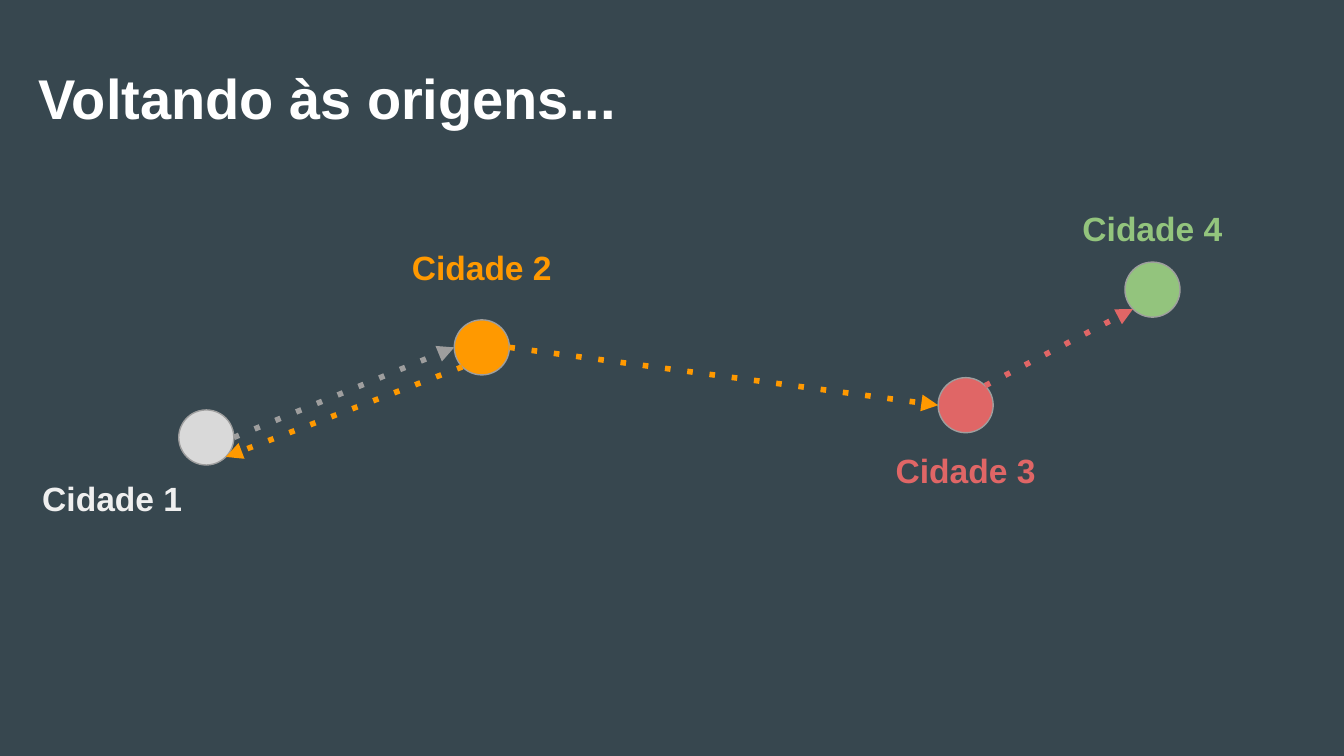
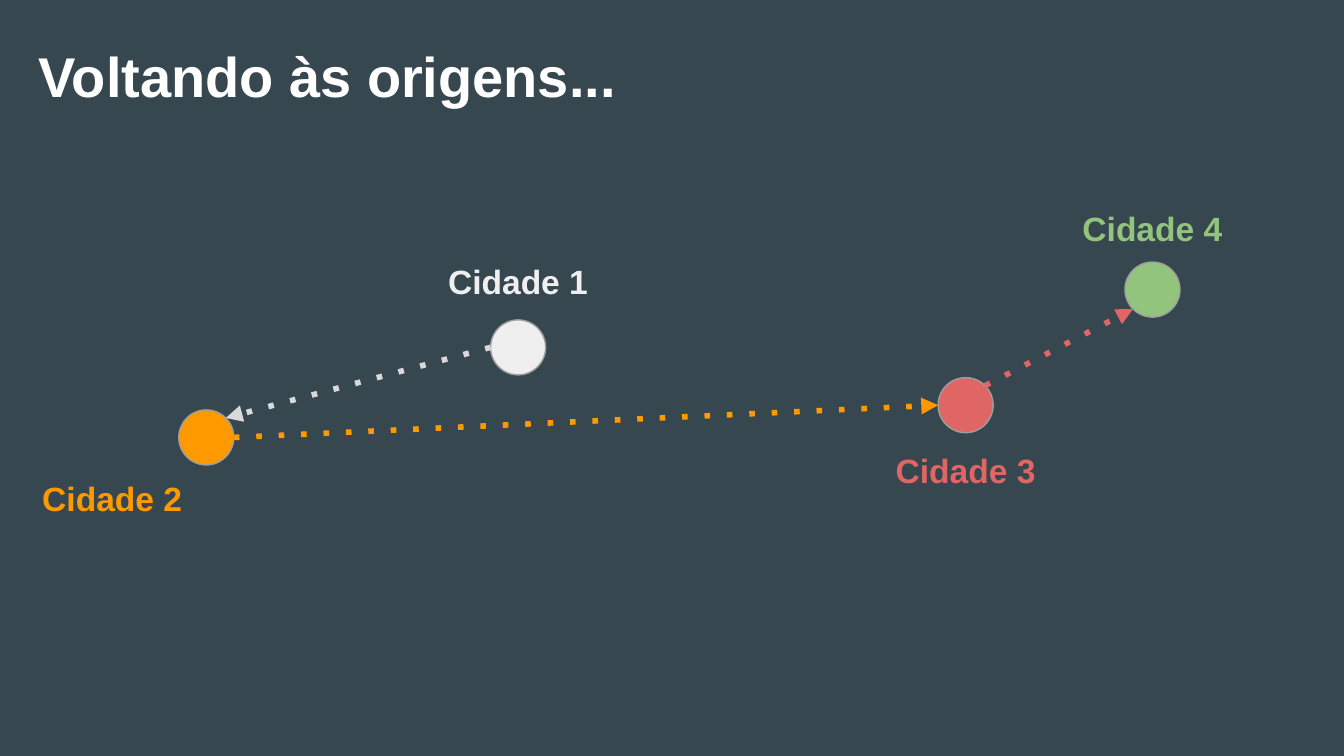
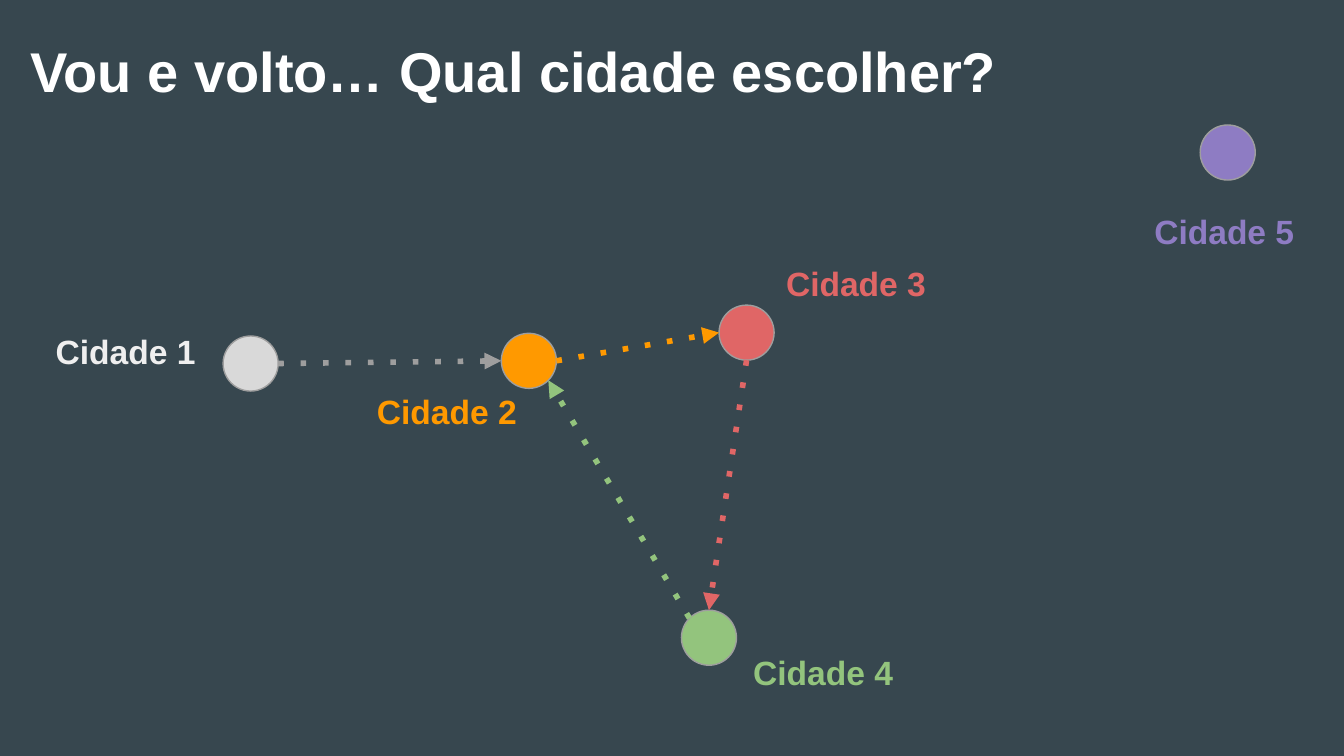
from math import cos, radians, sin

from lxml.etree import SubElement
from pptx import Presentation
from pptx.dml.color import RGBColor
from pptx.enum.dml import MSO_LINE
from pptx.enum.shapes import MSO_CONNECTOR as CXN, MSO_SHAPE as SHAPE
from pptx.enum.text import MSO_ANCHOR as ANCHOR, PP_ALIGN as ALIGN
from pptx.oxml.ns import qn
from pptx.util import Inches, Pt

# Shared style
FONT = "Arial"
SLATE = RGBColor(0x37, 0x47, 0x4F)
WHITE = RGBColor(0xFF, 0xFF, 0xFF)
PALE = RGBColor(0xEF, 0xEF, 0xEF)
SILVER = RGBColor(0xD9, 0xD9, 0xD9)
GREY = RGBColor(0x9E, 0x9E, 0x9E)
ORANGE = RGBColor(0xFF, 0x99, 0x00)
RED = RGBColor(0xE0, 0x66, 0x66)
GREEN = RGBColor(0x93, 0xC4, 0x7D)
PURPLE = RGBColor(0x8E, 0x7C, 0xC3)

CITY_COLORS = {1: PALE, 2: ORANGE, 3: RED, 4: GREEN, 5: PURPLE}
DOT = 0.41
LABEL_W, LABEL_H = 1.29, 0.64
CENTERED = (DOT - LABEL_W) / 2  # label offset that centres it on its dot

# Points on a dot's rim, in degrees clockwise from the right
RIGHT, LOWER_RIGHT, BOTTOM, LOWER_LEFT = 0, 45, 90, 135
LEFT, UPPER_LEFT, TOP, UPPER_RIGHT = 180, 225, 270, 315


def add_text(slide, text, left, top, width, height, *, size, color,
             align=ALIGN.LEFT):
    sp = slide.shapes.add_textbox(Inches(left), Inches(top),
                                  Inches(width), Inches(height))
    tf = sp.text_frame
    tf.word_wrap = True
    tf.vertical_anchor = ANCHOR.TOP
    tf.margin_left = tf.margin_right = Inches(0.1)
    tf.margin_top = tf.margin_bottom = Inches(0.1)
    p = tf.paragraphs[0]
    p.alignment = align
    r = p.add_run()
    r.text = text
    r.font.name = FONT
    r.font.size = Pt(size)
    r.font.bold = True
    r.font.color.rgb = color


def add_city(slide, number, left, top, dx, dy, *, fill=None,
             align=ALIGN.CENTER):
    """Draw a dot at left, top and its label dx, dy away from it."""
    color = CITY_COLORS[number]
    sp = slide.shapes.add_shape(SHAPE.FLOWCHART_CONNECTOR, Inches(left),
                                Inches(top), Inches(DOT), Inches(DOT))
    sp.shadow.inherit = False
    sp.fill.solid()
    sp.fill.fore_color.rgb = fill or color
    sp.line.color.rgb = GREY
    sp.line.width = Pt(0.75)
    add_text(slide, f"Cidade {number}", left + dx, top + dy, LABEL_W, LABEL_H,
             size=18, color=color, align=align)
    return sp


def rim_point(dot, angle):
    radius = dot.width / 2
    return (round(dot.left + radius * (1 + cos(radians(angle)))),
            round(dot.top + radius * (1 + sin(radians(angle)))))


def add_route(slide, start, start_angle, end, end_angle, color):
    """Join two dots with a dotted arrow."""
    line = slide.shapes.add_connector(CXN.STRAIGHT,
                                      *rim_point(start, start_angle),
                                      *rim_point(end, end_angle))
    line.line.color.rgb = color
    line.line.width = Pt(3)
    line.line.dash_style = MSO_LINE.ROUND_DOT
    # Preset "dot" has no public dash name that maps to it
    ln = line.line._get_or_add_ln()
    ln.find(qn("a:prstDash")).set("val", "dot")
    SubElement(ln, qn("a:tailEnd"), type="triangle")
    SubElement(line._element.spPr, qn("a:effectLst"))


def add_map(prs, title, title_box, cities, routes):
    """Build one slide: title, cities and the routes between them."""
    slide = prs.slides.add_slide(prs.slide_layouts[6])
    slide.background.fill.solid()
    slide.background.fill.fore_color.rgb = SLATE
    dots = {number: add_city(slide, number, *place, **style)
            for number, place, style in cities}
    for start, start_angle, end, end_angle, color in routes:
        add_route(slide, dots[start], start_angle, dots[end], end_angle, color)
    add_text(slide, title, *title_box, size=30, color=WHITE)


def main():
    prs = Presentation()
    prs.slide_width, prs.slide_height = Inches(10), Inches(5.625)

    # Cities and route that the first two slides share
    eastern_cities = [(3, (6.98, 2.81, CENTERED, 0.44), {}),
                      (4, (8.37, 1.95, CENTERED, -0.5), {})]
    eastern_route = (3, UPPER_RIGHT, 4, LOWER_LEFT, RED)
    western_place = (1.33, 3.05, -1.14, 0.41)

    # There and back between cities 1 and 2
    add_map(prs, "Voltando às origens...", (0.19, 0.37, 7.62, 0.89),
            [(1, western_place, {"fill": SILVER}),
             (2, (3.38, 2.38, CENTERED, -0.64), {}),
             *eastern_cities],
            [(1, RIGHT, 2, LEFT, GREY),
             (2, RIGHT, 3, LEFT, ORANGE),
             eastern_route,
             (2, LOWER_LEFT, 1, LOWER_RIGHT, ORANGE)])

    # Cities 1 and 2 swapped
    add_map(prs, "Voltando às origens...", (0.19, 0.21, 7.62, 0.89),
            [(2, western_place, {}),
             (1, (3.65, 2.38, CENTERED, -0.54), {}),
             *eastern_cities],
            [(2, RIGHT, 3, LEFT, ORANGE),
             eastern_route,
             (1, LEFT, 2, UPPER_RIGHT, SILVER)])

    # A loop that leaves city 5 out
    add_map(prs, "Vou e volto… Qual cidade escolher?",
            (0.13, 0.17, 7.62, 0.75),
            [(1, (1.66, 2.5, -1.37, -0.14), {"fill": SILVER}),
             (2, (3.73, 2.48, -1.05, 0.33), {}),
             (3, (5.35, 2.27, 0.4, -0.41), {"align": ALIGN.LEFT}),
             (4, (5.07, 4.54, 0.41, 0.21), {}),
             (5, (8.93, 0.93, CENTERED, 0.54), {"align": ALIGN.LEFT})],
            [(1, RIGHT, 2, LEFT, GREY),
             (2, RIGHT, 3, LEFT, ORANGE),
             (3, BOTTOM, 4, TOP, RED),
             (4, UPPER_LEFT, 2, LOWER_RIGHT, GREEN)])

    prs.save("out.pptx")


if __name__ == "__main__":
    main()
